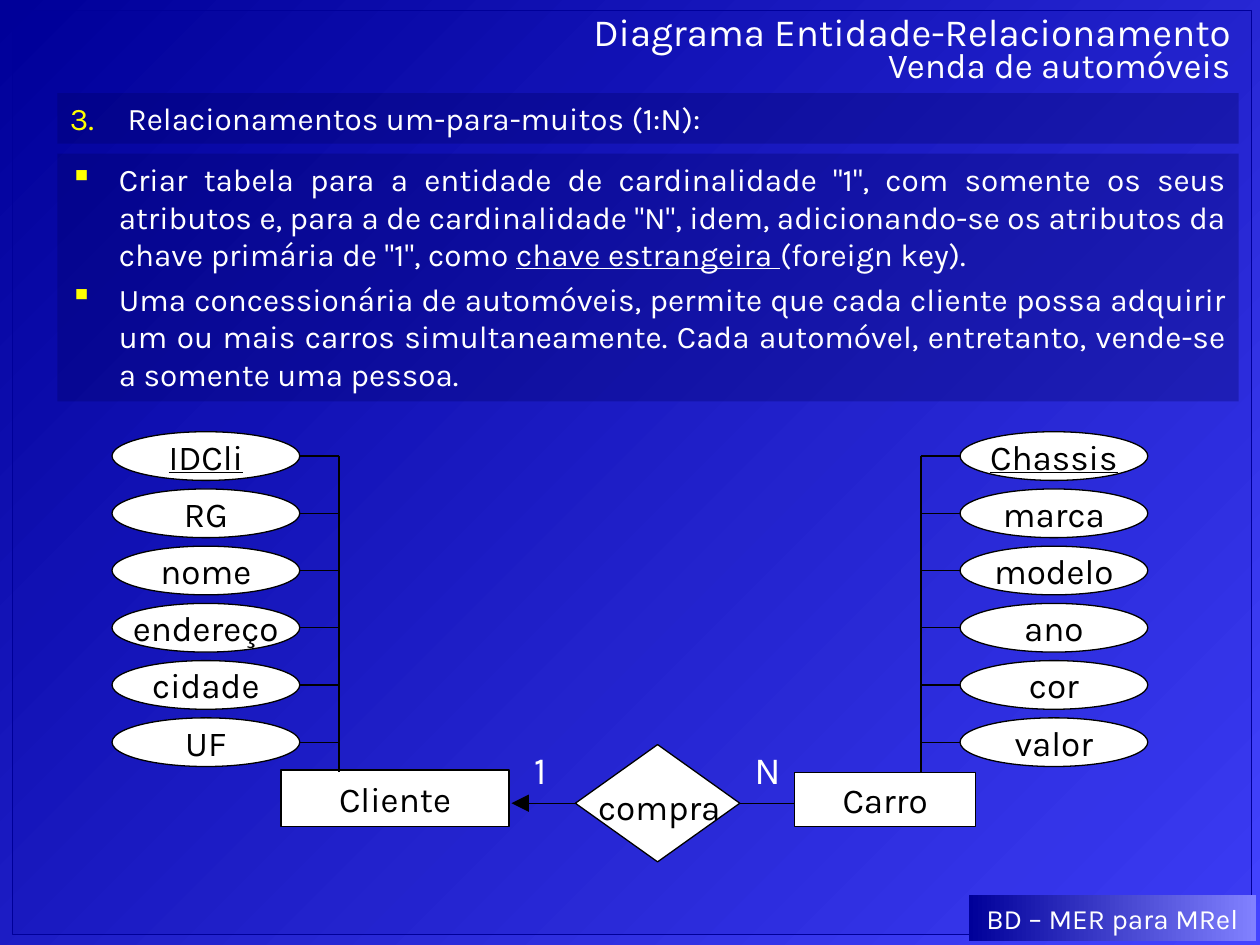
from lxml import etree
from pptx import Presentation
from pptx import util as u
from pptx.dml.color import RGBColor
from pptx.enum import shapes, text
from pptx.oxml.ns import qn

Pt = u.Pt
MSO = shapes.MSO_SHAPE
AL = text.PP_ALIGN
INK, WHITE, NAVY, PANEL, YELLOW = "000000", "FFFFFF", "000099", "000060", "FFFF00"


def rgb(color):
    return RGBColor.from_string(color)


def style(sp, size, color, align=AL.CENTER, wrap=False, anchor=text.MSO_ANCHOR.MIDDLE):
    """Format all text of a shape alike."""
    tf = sp.text_frame
    tf.word_wrap = wrap
    tf.vertical_anchor = anchor
    for p in tf.paragraphs:
        p.alignment = align
        for r in p.runs:
            r.font.name = "Karla"
            r.font.size = Pt(size)
            r.font.color.rgb = rgb(color)


prs = Presentation()
prs.slide_width, prs.slide_height = Pt(720), Pt(540)
s = prs.slides.add_slide(prs.slide_layouts[6])

# Background and frame
bg = s.background.fill
bg.gradient()
bg.gradient_angle = 315
for stop, color in zip(bg.gradient_stops, (NAVY, "4343FF")):
    stop.color.rgb = rgb(color)

frame = s.shapes.add_shape(MSO.RECTANGLE, Pt(7), Pt(6), Pt(708), Pt(528))
frame.line.color.rgb = rgb(NAVY)
frame.line.width = Pt(0.75)

# Title
title = s.shapes.add_textbox(Pt(63.4), Pt(7.2), Pt(647), Pt(44.6))
p = title.text_frame.paragraphs[0]
p.text = "Diagrama Entidade-Relacionamento\vVenda de automóveis"
p.line_spacing = 0.75
style(title, 22, WHITE, AL.RIGHT, wrap=True)
p.runs[1].font.size = Pt(20)

# Attributes, each tied to a trunk that leads to its entity
ROW, TOP, W, H = 32.7, 246.7, 107.3, 27.8
entities = [
    (64, 171.3, 193.7, ["IDCli", "RG", "nome", "endereço", "cidade", "UF"]),
    (548.6, 548.6, 526.3, ["Chassis", "marca", "modelo", "ano", "cor", "valor"]),
]
nodes = []
lines = []
for left, edge, trunk, names in entities:
    lines.append((trunk, TOP + H / 2, trunk, 441))
    for i, name in enumerate(names):
        y = TOP + i * ROW
        nodes.append((MSO.OVAL, left, y, W, H, name))
        lines.append((trunk, y + H / 2, edge, y + H / 2))

nodes += [
    (MSO.RECTANGLE, 160.6, 440, 130.3, 32.4, "Cliente"),
    (MSO.RECTANGLE, 454, 441.5, 103.6, 30.9, "Carro"),
    (MSO.DIAMOND, 328.8, 425.5, 94, 67, "compra"),
]
for kind, x, y, w, h, name in nodes:
    sp = s.shapes.add_shape(kind, Pt(x), Pt(y), Pt(w), Pt(h))
    sp.shadow.inherit = False
    sp.fill.solid()
    sp.fill.fore_color.rgb = rgb(WHITE)
    sp.line.color.rgb = rgb(INK)
    sp.line.width = Pt(0.75)
    tf = sp.text_frame
    tf.margin_left = tf.margin_right = tf.margin_top = tf.margin_bottom = 0
    tf.text = name
    style(sp, 20, INK)
    if name in ("IDCli", "Chassis"):
        tf.paragraphs[0].runs[0].font.underline = True
    if name == "compra":
        diamond = sp
        tf.margin_left, tf.margin_top = Pt(2), Pt(4)

# Lines: the last two join the relationship to its entities
lines += [(328.8, 459, 292.3, 459), (422.8, 459, 454, 459)]
links = []
for x1, y1, x2, y2 in lines:
    c = s.shapes.add_connector(shapes.MSO_CONNECTOR.STRAIGHT, Pt(x1), Pt(y1), Pt(x2), Pt(y2))
    c.line.color.rgb = rgb(INK)
    c.line.width = Pt(0.75)
    etree.SubElement(c._element.spPr, qn("a:effectLst"))
    links.append(c)
to_client, to_car = links[-2:]
to_client.begin_connect(diamond, 1)
to_car.begin_connect(diamond, 3)
etree.SubElement(to_client.line._get_or_add_ln(), qn("a:tailEnd"), type="triangle", w="lg", len="lg")

for x, label in ((298, "1"), (424, "N")):
    tb = s.shapes.add_textbox(Pt(x), Pt(422.6), Pt(26.6), Pt(33.8))
    tb.text_frame.text = label
    style(tb, 22, WHITE, AL.LEFT, wrap=True, anchor=text.MSO_ANCHOR.TOP)

# Footer
footer = s.shapes.add_shape(MSO.RECTANGLE, Pt(553.7), Pt(511.2), Pt(164), Pt(26.6))
footer.shadow.inherit = False
footer.line.fill.background()
footer.fill.gradient()
footer.fill.gradient_angle = 0
for stop, color in zip(footer.fill.gradient_stops, (NAVY, "8181FF")):
    stop.color.rgb = rgb(color)
footer.text_frame.text = "BD – MER para MRel"
style(footer, 16, WHITE)

# Text panels; each paragraph is a list of runs
rule = [
    ['Criar tabela para a entidade de cardinalidade "1", com somente os seus atributos e, '
     'para a de cardinalidade "N", idem, adicionando-se os atributos da chave primária de "1", como ',
     "chave estrangeira ", "(foreign key)."],
    ["Uma concessionária de automóveis, permite que cada cliente possa adquirir um ou mais carros "
     "simultaneamente. Cada automóvel, entretanto, vende-se a somente uma pessoa."],
]
number = ("a:buAutoNum", {"type": "arabicPeriod", "startAt": "3"})
square = ("a:buChar", {"char": "▪"})
panels = [
    (53.3, 28.8, 33, AL.LEFT, number, [["Relacionamentos um-para-muitos (1:N):"]]),
    (87.8, 141.6, 28, AL.JUSTIFY, square, rule),
]
translucent = [(frame, NAVY, 10)]
for y, h, indent, align, (tag, attrs), paragraphs in panels:
    sp = s.shapes.add_shape(MSO.RECTANGLE, Pt(32.8), Pt(y), Pt(675), Pt(h))
    sp.line.fill.background()
    translucent.append((sp, PANEL, 30))
    tf = sp.text_frame
    for i, pieces in enumerate(paragraphs):
        p = tf.add_paragraph() if i else tf.paragraphs[0]
        p.space_before = Pt(3.6)
        for piece in pieces:
            r = p.add_run()
            r.text = piece
            if piece == "chave estrangeira ":
                r.font.underline = True
        pPr = p._p.get_or_add_pPr()
        pPr.set("marL", str(Pt(indent)))
        pPr.set("indent", str(-Pt(indent)))
        etree.SubElement(etree.SubElement(pPr, qn("a:buClr")), qn("a:srgbClr"), val=YELLOW)
        etree.SubElement(pPr, qn(tag), attrs)
    style(sp, 18, WHITE, align, wrap=True, anchor=text.MSO_ANCHOR.TOP)

for sp, color, opacity in translucent:
    sp.shadow.inherit = False
    sp.fill.solid()
    sp.fill.fore_color.rgb = rgb(color)
    clr = sp._element.spPr.find(qn("a:solidFill"))[0]
    etree.SubElement(clr, qn("a:alpha"), val=str(opacity * 1000))

prs.save("out.pptx")
